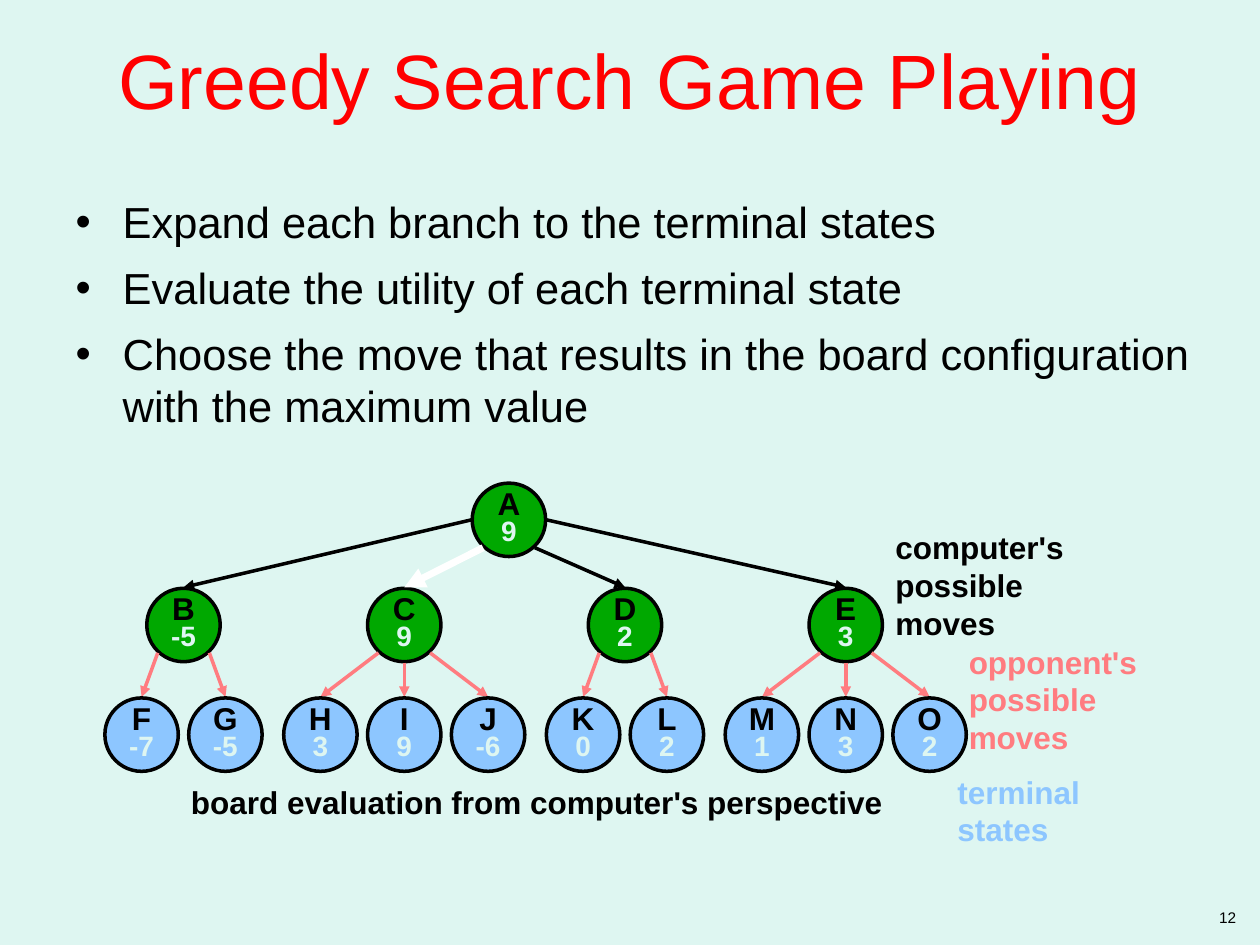
from lxml import etree
from pptx import Presentation
from pptx.dml.color import RGBColor
from pptx.enum.shapes import MSO_CONNECTOR, MSO_SHAPE
from pptx.enum.text import MSO_ANCHOR, MSO_AUTO_SIZE, PP_ALIGN
from pptx.oxml.ns import qn
from pptx.util import Cm, Pt

OVAL = MSO_SHAPE.OVAL
STRAIGHT = MSO_CONNECTOR.STRAIGHT
LEFT, CENTER, RIGHT = PP_ALIGN.LEFT, PP_ALIGN.CENTER, PP_ALIGN.RIGHT
MIDDLE = MSO_ANCHOR.MIDDLE
FIXED = MSO_AUTO_SIZE.NONE

PALE = RGBColor(0xDE, 0xF6, 0xF1)
BLACK = RGBColor(0, 0, 0)
WHITE = RGBColor(0xFF, 0xFF, 0xFF)
RED = RGBColor(0xFF, 0, 0)
GREEN = RGBColor(0, 0xA8, 0)
BLUE = RGBColor(0x8D, 0xC6, 0xFF)
PINK = RGBColor(0xFF, 0x7C, 0x80)

DIAMETER = 1.48
REACH = 0.76
DIAG_X, DIAG_Y = 0.52, 0.56
ROOT_X, ROOT_Y = 10.26, 10.48
MOVE_X, MOVE_Y, MOVE_STEP = 3.7, 12.6, 4.45
LEAF_Y, LEAF_STEP = 14.81, 1.69

MOVES = [
    ("B", "-5", [("F", "-7"), ("G", "-5")]),
    ("C", "9", [("H", "3"), ("I", "9"), ("J", "-6")]),
    ("D", "2", [("K", "0"), ("L", "2")]),
    ("E", "3", [("M", "1"), ("N", "3"), ("O", "2")]),
]
BULLETS = [
    "Expand each branch to the terminal states",
    "Evaluate the utility of each terminal state",
    "Choose the move that results in the board configuration with the maximum value",
]
LABELS = [
    (17.8, 10.52, 5.26, 1.78, ["computer's", "possible moves"], BLACK),
    (19.28, 12.83, 5.26, 1.78, ["opponent's", "possible moves"], PINK),
    (3.6, 15.67, 14.45, 1.02, ["board evaluation from computer's perspective"], BLACK),
    (19.05, 15.45, 4.98, 1.02, ["terminal states"], BLUE),
]


class TreeSlide:
    font = "Arial"

    def __init__(self, prs):
        self.s = prs.slides.add_slide(prs.slide_layouts[1])
        self.s.background.fill.solid()
        self.s.background.fill.fore_color.rgb = PALE

    def run(self, p, text, size, color, bold=False):
        r = p.add_run()
        r.text = text
        r.font.name = self.font
        r.font.size = Pt(size)
        r.font.bold = bold
        r.font.color.rgb = color

    def place(self, sp, x, y, w, h):
        sp.left, sp.top, sp.width, sp.height = Cm(x), Cm(y), Cm(w), Cm(h)
        sp.text_frame.auto_size = FIXED
        return sp.text_frame

    def title(self, text):
        tf = self.place(self.s.shapes.title, 1.27, 0, 22.86, 3.18)
        tf.vertical_anchor = MIDDLE
        p = tf.paragraphs[0]
        p.alignment = CENTER
        self.run(p, text, 44, RED)

    def bullets(self, items):
        tf = self.place(self.s.placeholders[1], 1.27, 3.81, 23.5, 5.08)
        for i, text in enumerate(items):
            p = tf.add_paragraph() if i else tf.paragraphs[0]
            pPr = p._p.get_or_add_pPr()
            pPr.set("marL", str(Cm(0.95)))
            pPr.set("indent", str(Cm(-0.95)))
            etree.SubElement(pPr, qn("a:buChar")).set("char", "•")
            p.space_before = Pt(8 if i else 0)
            self.run(p, text, 24.8, BLACK)

    def label(self, x, y, w, h, lines, color, size=18, bold=True, align=LEFT):
        tf = self.s.shapes.add_textbox(Cm(x), Cm(y), Cm(w), Cm(h)).text_frame
        tf.word_wrap = False
        p = tf.paragraphs[0]
        p.alignment = align
        for i, text in enumerate(lines):
            if i:
                p.add_line_break()
            self.run(p, text, size, color, bold)

    def node(self, cx, cy, name, value, fill):
        sp = self.s.shapes.add_shape(
            OVAL, Cm(cx - DIAMETER / 2), Cm(cy - DIAMETER / 2), Cm(DIAMETER), Cm(DIAMETER))
        sp.shadow.inherit = False
        sp.fill.solid()
        sp.fill.fore_color.rgb = fill
        sp.line.color.rgb = BLACK
        sp.line.width = Pt(2)
        tf = sp.text_frame
        tf.word_wrap = False
        tf.vertical_anchor = MIDDLE
        rows = [(tf.paragraphs[0], name, 18, BLACK), (tf.add_paragraph(), value, 16, PALE)]
        for p, text, size, color in rows:
            p.alignment = CENTER
            p.line_spacing = 0.75
            self.run(p, text, size, color, True)

    def arrow(self, x1, y1, x2, y2, color, width=2):
        c = self.s.shapes.add_connector(STRAIGHT, Cm(x1), Cm(y1), Cm(x2), Cm(y2))
        c.line.color.rgb = color
        c.line.width = Pt(width)
        etree.SubElement(c.line._get_or_add_ln(), qn("a:tailEnd")).set("type", "triangle")
        etree.SubElement(c._element.spPr, qn("a:effectLst"))

    def move(self, cx, name, value, leaves):
        self.node(cx, MOVE_Y, name, value, GREEN)
        for i, (leaf, score) in enumerate(leaves):
            offset = i - (len(leaves) - 1) / 2
            side = (offset > 0) - (offset < 0)
            x = cx + offset * LEAF_STEP
            y = MOVE_Y + (DIAG_Y if side else REACH)
            self.arrow(cx + side * DIAG_X, y, x, LEAF_Y - REACH, PINK)
            self.node(x, LEAF_Y, leaf, score, BLUE)


def main():
    prs = Presentation()
    prs.slide_width, prs.slide_height = Cm(25.4), Cm(19.05)
    s = TreeSlide(prs)
    s.title("Greedy Search Game Playing")
    s.bullets(BULLETS)
    s.node(ROOT_X, ROOT_Y, "A", "9", GREEN)
    starts = [(-REACH, 0), (-DIAG_X, DIAG_Y), (DIAG_X, DIAG_Y), (REACH, 0)]
    for i, ((name, value, leaves), (dx, dy)) in enumerate(zip(MOVES, starts)):
        cx = MOVE_X + i * MOVE_STEP
        color, width = (WHITE, 4) if name == "C" else (BLACK, 2)
        s.move(cx, name, value, leaves)
        s.arrow(ROOT_X + dx, ROOT_Y + dy, cx, MOVE_Y - REACH, color, width)
    for label in LABELS:
        s.label(*label)
    s.label(19.25, 18.19, 5.92, 0.64, ["12"], BLACK, 8.8, False, RIGHT)
    prs.save("out.pptx")


if __name__ == "__main__":
    main()
